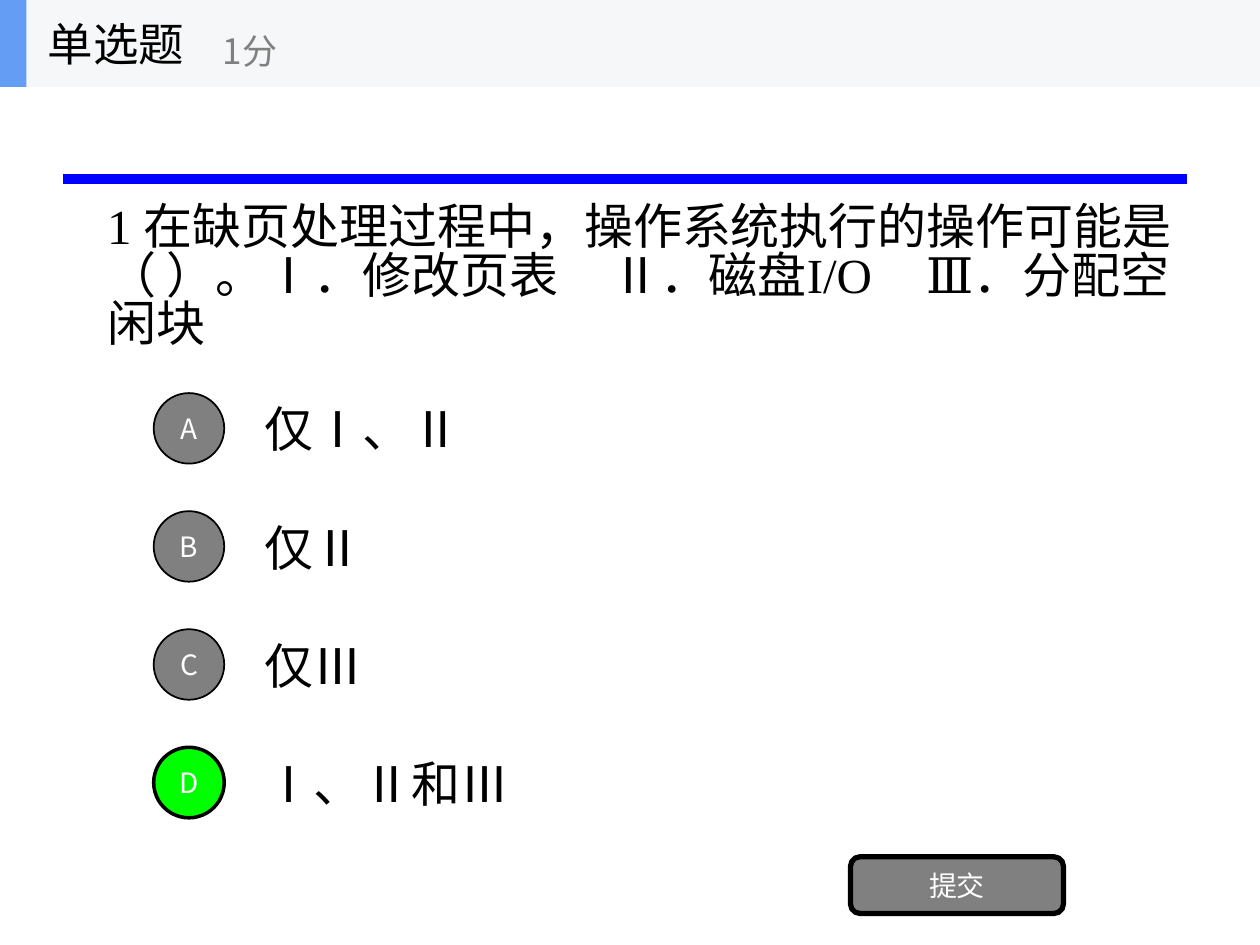
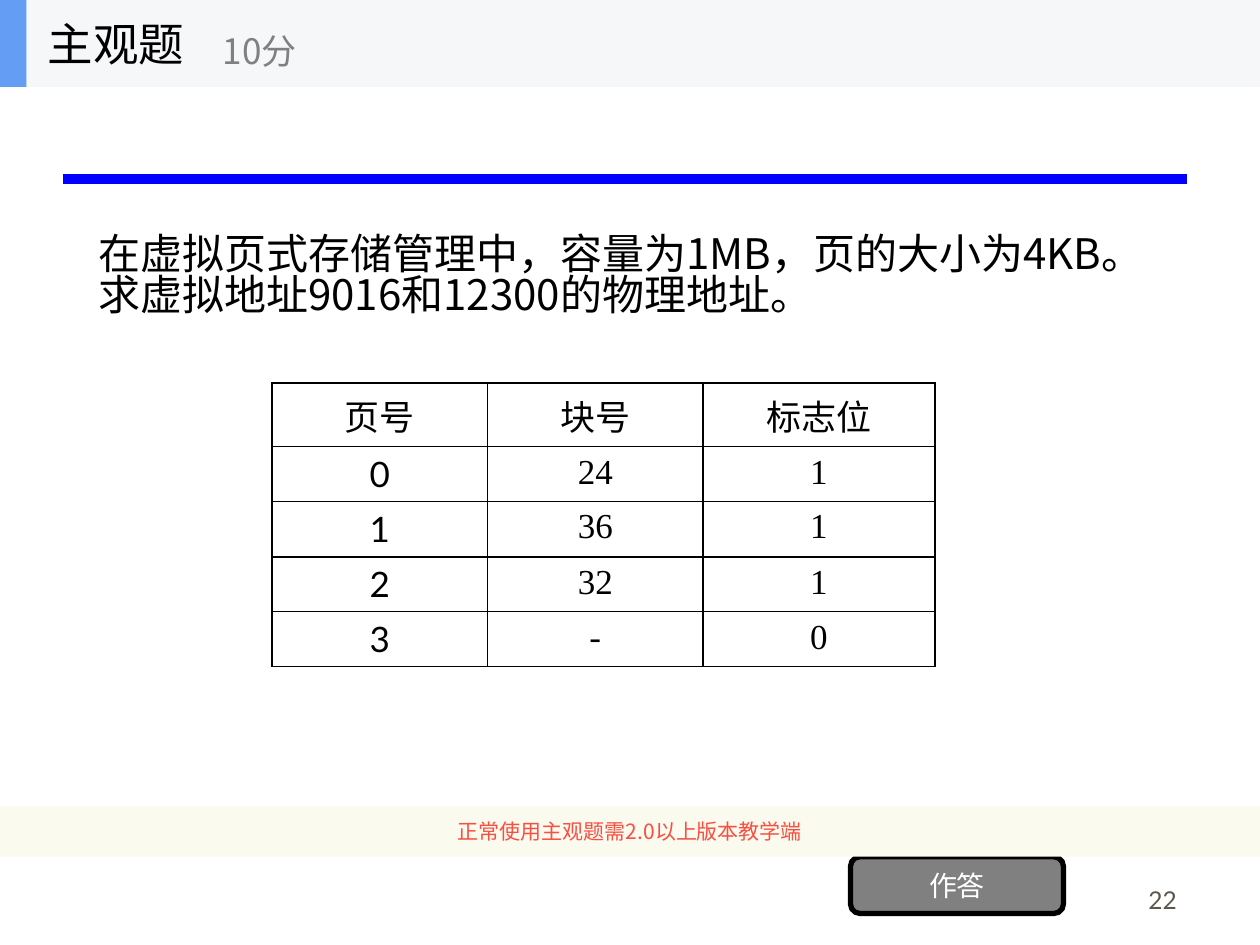
"""Build two quiz slides: a single-choice question and an open question."""
from lxml.etree import SubElement
from pptx import Presentation
from pptx.dml.color import RGBColor
from pptx.enum.shapes import MSO_CONNECTOR as CONN, MSO_SHAPE as SHAPE
from pptx.enum.text import MSO_ANCHOR as ANCHOR, MSO_AUTO_SIZE as FIT, PP_ALIGN as ALIGN
from pptx.oxml.ns import qn
from pptx.util import Inches, Pt

BLACK = RGBColor(0x00, 0x00, 0x00)
WHITE = RGBColor(0xFF, 0xFF, 0xFF)
GREY = RGBColor(0x80, 0x80, 0x80)
GREEN = RGBColor(0x00, 0xFF, 0x00)
BLUE = RGBColor(0x00, 0x00, 0xFF)
ACCENT = RGBColor(0x63, 0x9E, 0xF4)
BAND = RGBColor(0xF6, 0xF7, 0xF8)
NOTICE_FILL = RGBColor(0xFB, 0xFA, 0xEF)
NOTICE_TEXT = RGBColor(0xF8, 0x4F, 0x41)
NUMBER = RGBColor(0x5E, 0x57, 0x4E)
CJK, SERIF, LATO = "Noto Sans CJK SC", "Times New Roman", "Lato"

CHOICE = {
    "title": "单选题", "score": "1分", "button": "提交",
    "question": ["1 在缺页处理过程中，操作系统执行的操作可能是（ ）。Ⅰ．修改页表\tⅡ．磁盘I/O\tⅢ．分配空闲块"],
    "options": [("A", "仅Ⅰ、Ⅱ"), ("B", "仅Ⅱ"), ("C", "仅Ⅲ"), ("D", "Ⅰ、Ⅱ和Ⅲ")],
    "answer": "D",
}
ESSAY = {
    "title": "主观题", "score": "10分", "button": "作答",
    "question": ["在虚拟页式存储管理中，容量为1MB，页的大小为4KB。", "求虚拟地址9016和12300的物理地址。"],
    "notice": "正常使用主观题需2.0以上版本教学端",
    "number": "22",
}
PAGE_TABLE = [
    ("页号", "块号", "标志位"),
    ("0", "24", "1"),
    ("1", "36", "1"),
    ("2", "32", "1"),
    ("3", "-", "0"),
]
COLUMN_WIDTHS = (1.71, 1.71, 1.84)
ROW_HEIGHTS = (0.46, 0.43, 0.44, 0.43, 0.43)


def write(tf, *lines, size=16, font=CJK, color=BLACK, align=ALIGN.LEFT,
          anchor=ANCHOR.MIDDLE, wrap=True, spacing=None, tabs=()):
    """Fill a text frame with formatted paragraphs."""
    tf.auto_size, tf.word_wrap, tf.vertical_anchor = FIT.NONE, wrap, anchor
    for i, line in enumerate(lines):
        p = tf.paragraphs[0] if i == 0 else tf.add_paragraph()
        p.alignment, p.line_spacing, p.space_before = align, spacing, Pt(0)
        pPr = p._p.get_or_add_pPr()
        pPr.set("marL", "0")
        pPr.set("indent", "0")
        SubElement(pPr, qn("a:buNone"))
        if tabs:
            stops = SubElement(pPr, qn("a:tabLst"))
            for stop in tabs:
                SubElement(stops, qn("a:tab"), pos=str(Inches(stop)), algn="l")
        r = p.add_run()
        r.text = line
        r.font.size, r.font.name = Pt(size), font
        r.font.color.rgb = color
        SubElement(r._r.get_or_add_rPr(), qn("a:ea"), typeface=CJK)


def place(sp, box):
    """Move a placeholder to a box in inches."""
    sp.left, sp.top, sp.width, sp.height = map(Inches, box)
    return sp.text_frame


def add_text(s, box, text, **fmt):
    """Add a text box."""
    write(s.shapes.add_textbox(*map(Inches, box)).text_frame, text, **fmt)


def add_box(s, kind, box, fill, outline=0, text=None, **fmt):
    """Add a filled shape with an optional black outline and text."""
    sp = s.shapes.add_shape(kind, *map(Inches, box))
    sp.shadow.inherit = False
    sp.fill.solid()
    sp.fill.fore_color.rgb = fill
    if outline:
        sp.line.color.rgb = BLACK
        sp.line.width = Pt(outline)
    else:
        sp.line.fill.background()
    if text:
        write(sp.text_frame, text, align=ALIGN.CENTER, **fmt)
    return sp


def decorate_layout(layout, s):
    """Draw the header band and rule, then move them to the layout."""
    rule = s.shapes.add_connector(CONN.STRAIGHT, *map(Inches, (0.5, 1.42, 9.42, 1.42)))
    rule.line.color.rgb, rule.line.width = BLUE, Pt(6)
    SubElement(rule._element.spPr, qn("a:effectLst"))
    band = add_box(s, SHAPE.RECTANGLE, (0, 0, 10, 0.69), BAND)
    mark = add_box(s, SHAPE.RECTANGLE, (0, 0, 0.21, 0.69), ACCENT)
    for sp in (rule, band, mark):
        layout.shapes._spTree.append(sp._element)


def add_quiz(s, quiz, box, **fmt):
    """Add the title, score, question and button of a quiz slide."""
    write(place(s.shapes.title, (0.28, 0, 2.08, 0.69)), quiz["title"], size=26, wrap=False)
    add_text(s, (1.67, 0.12, 2.5, 0.56), quiz["score"], size=20, color=GREY, wrap=False)
    write(place(s.placeholders[1], box), *quiz["question"], spacing=0.83, **fmt)
    add_box(s, SHAPE.ROUNDED_RECTANGLE, (6.75, 6.8, 1.69, 0.45), GREY, 3,
            quiz["button"], color=WHITE)


def add_options(s, options, answer):
    """Add one lettered circle and one line of text per option."""
    for i, (letter, text) in enumerate(options):
        top = 3.05 + i * 0.937
        right = letter == answer
        add_text(s, (2, top, 7, 0.7), text, size=28, font=SERIF)
        add_box(s, SHAPE.OVAL, (1.22, top + 0.07, 0.56, 0.56), GREEN if right else GREY,
                2 if right else 1, letter, color=WHITE)


def add_border(cell):
    """Give a cell thin black lines on all sides."""
    tcPr = cell._tc.get_or_add_tcPr()
    for i, side in enumerate(("lnL", "lnR", "lnT", "lnB")):
        ln = tcPr.makeelement(qn("a:" + side), {"w": str(Pt(1))})
        fill = SubElement(ln, qn("a:solidFill"))
        SubElement(fill, qn("a:srgbClr"), val=str(BLACK))
        tcPr.insert(i, ln)


def add_page_table(s):
    """Add the page table."""
    table = s.shapes.add_table(len(PAGE_TABLE), len(COLUMN_WIDTHS),
                               *map(Inches, (2.16, 3.04, 5.26, 2.19))).table
    for column, width in zip(table.columns, COLUMN_WIDTHS):
        column.width = Inches(width)
    for row, height, texts in zip(table.rows, ROW_HEIGHTS, PAGE_TABLE):
        row.height = Inches(height)
        for i, (cell, text) in enumerate(zip(row.cells, texts)):
            cell.fill.background()
            add_border(cell)
            write(cell.text_frame, text, size=20, font=SERIF if i else LATO,
                  align=ALIGN.CENTER, anchor=None, wrap=None)


def main():
    """Build and save the slides."""
    prs = Presentation()
    prs.slide_width, prs.slide_height = Inches(10), Inches(7.5)
    layout = prs.slide_layouts[1]

    s = prs.slides.add_slide(layout)
    decorate_layout(layout, s)
    add_quiz(s, CHOICE, (0.75, 1.15, 8.74, 2.12), size=28, font=SERIF, tabs=(4.35, 7.21))
    add_options(s, CHOICE["options"], CHOICE["answer"])

    s = prs.slides.add_slide(layout)
    add_quiz(s, ESSAY, (0.68, 1.82, 8.94, 0.91), size=24, anchor=ANCHOR.TOP)
    add_box(s, SHAPE.RECTANGLE, (0, 6.4, 10, 0.4), NOTICE_FILL, text=ESSAY["notice"],
            size=12, color=NOTICE_TEXT, wrap=False)
    add_text(s, (7.36, 6.81, 2.08, 0.5), ESSAY["number"], size=14, font=LATO,
             color=NUMBER, align=ALIGN.RIGHT, anchor=ANCHOR.BOTTOM)
    add_page_table(s)
    prs.save("out.pptx")


if __name__ == "__main__":
    main()
